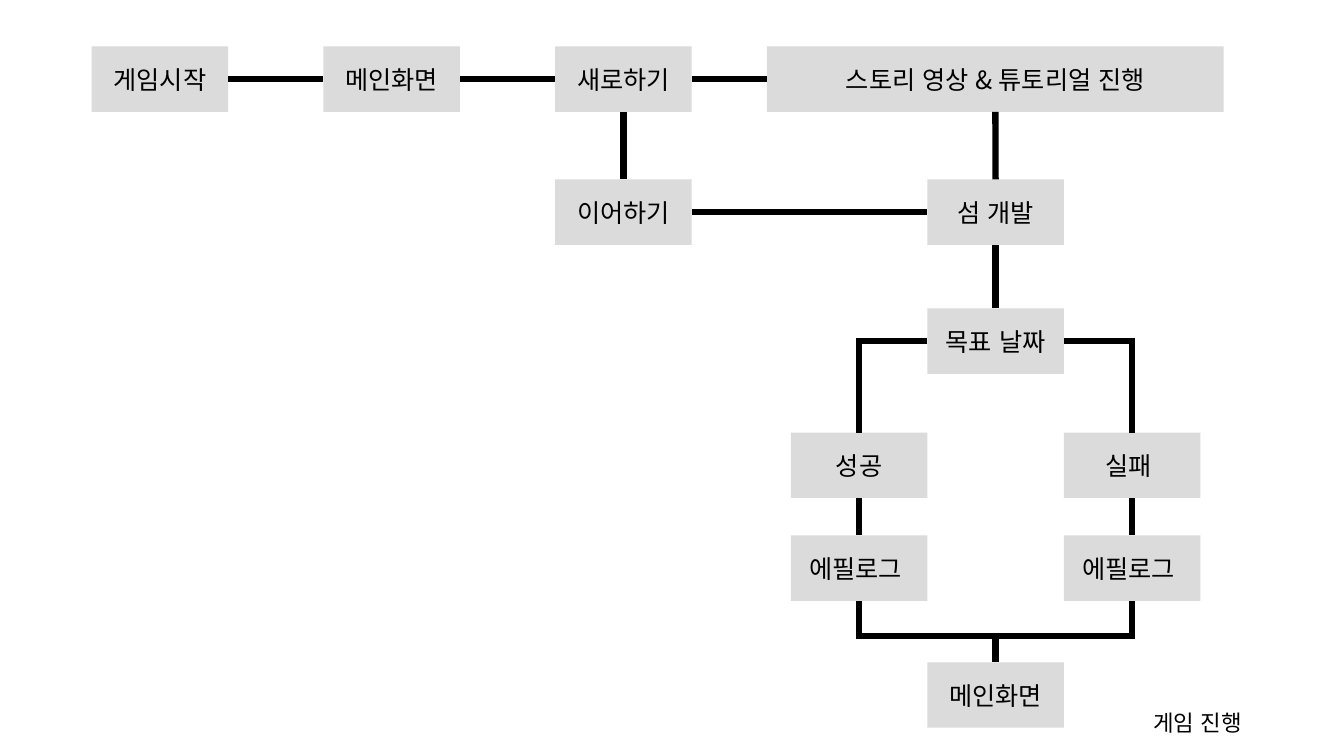
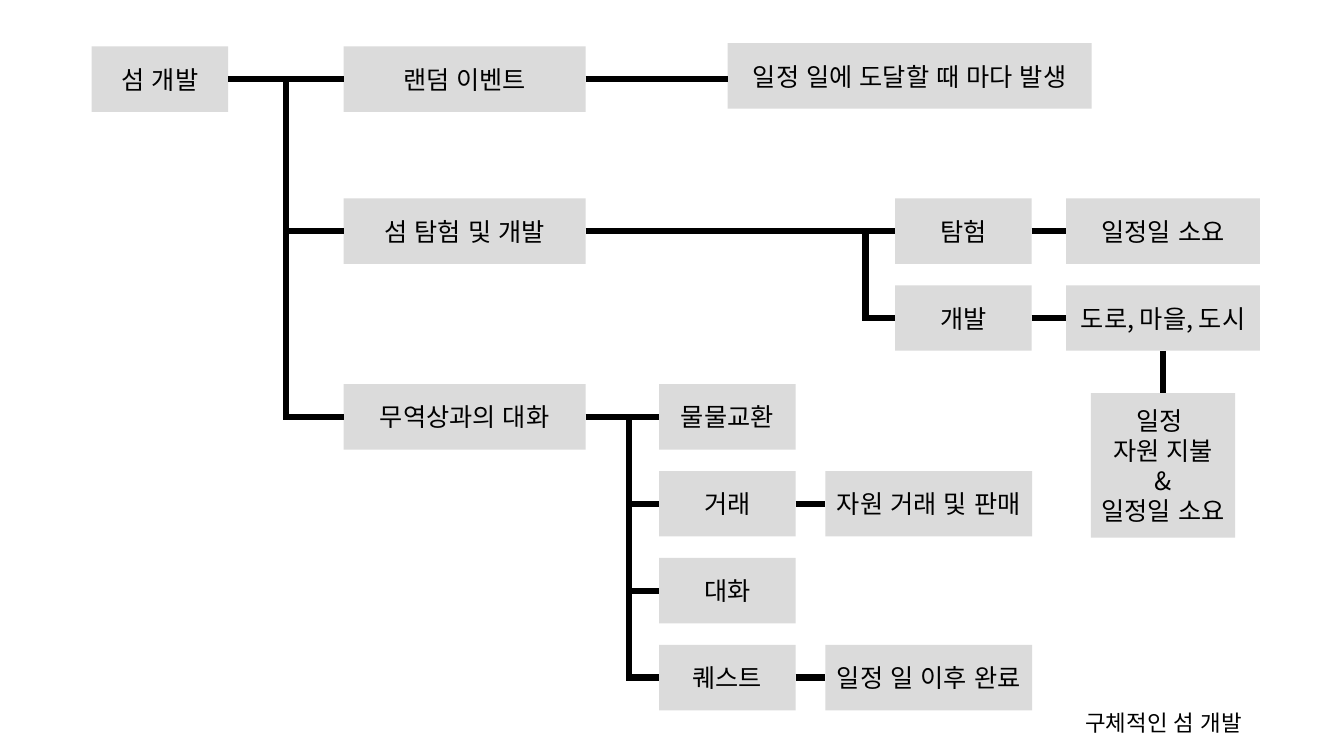
from dataclasses import dataclass

from lxml.etree import SubElement
from pptx import Presentation
from pptx.dml.color import RGBColor
from pptx.enum.lang import MSO_LANGUAGE_ID as Language
from pptx.enum.shapes import MSO_CONNECTOR as Connector, MSO_SHAPE as Preset
from pptx.enum.text import MSO_ANCHOR as Anchor, MSO_AUTO_SIZE as AutoSize, PP_ALIGN as Align
from pptx.oxml.ns import qn
from pptx.util import Cm, Pt

TOP, LEFT, BOTTOM, RIGHT = range(4)


@dataclass(frozen=True)
class Theme:
    font: str = "Noto Sans CJK KR"
    ink: RGBColor = RGBColor(0, 0, 0)
    paper: RGBColor = RGBColor(255, 255, 255)
    node: RGBColor = RGBColor(0xDB, 0xDB, 0xDB)
    node_size: Pt = Pt(18)
    title_size: Pt = Pt(16)
    line_width: Pt = Pt(4.5)


@dataclass(frozen=True)
class Box:
    left: float
    top: float
    width: float
    height: float

    def lengths(self):
        return [Cm(value) for value in (self.left, self.top, self.width, self.height)]


THEME = Theme()
NODE_WIDTH, NODE_HEIGHT = 3.44, 1.65
DIAGRAM = Box(2.31, 1.17, 29.7, 16.8)
TITLE = Box(13.87, 17.4, 17.68, 1.19)


def add_text(paragraph, text, size):
    run = paragraph.add_run()
    run.text = text
    font = run.font
    font.name, font.size, font.bold = THEME.font, size, False
    font.color.rgb = THEME.ink
    font.language_id = Language.KOREAN
    SubElement(run._r.get_or_add_rPr(), qn("a:ea")).set("typeface", THEME.font)


def add_node(slide, area, left, top, text, width=NODE_WIDTH, height=NODE_HEIGHT):
    box = Box(area.left + left, area.top + top, width, height)
    shape = slide.shapes.add_shape(Preset.RECTANGLE, *box.lengths())
    shape.shadow.inherit = False
    shape.fill.solid()
    shape.fill.fore_color.rgb = THEME.node
    shape.line.fill.background()
    frame = shape.text_frame
    frame.word_wrap = True
    frame.vertical_anchor = Anchor.MIDDLE
    for index, line in enumerate(text.split("\n")):
        paragraph = frame.add_paragraph() if index else frame.paragraphs[0]
        paragraph.alignment = Align.CENTER
        add_text(paragraph, line, THEME.node_size)
    return shape


def add_line(slide, x1, y1, x2, y2):
    line = slide.shapes.add_connector(Connector.STRAIGHT, x1, y1, x2, y2)
    line.line.color.rgb = THEME.ink
    line.line.width = THEME.line_width
    SubElement(line._element.spPr, qn("a:effectLst"))
    return line


def link(slide, first, second, sides=(RIGHT, LEFT)):
    line = add_line(slide, 0, 0, 0, 0)
    line.begin_connect(first, sides[0])
    line.end_connect(second, sides[1])


def right(shape):
    return shape.left + shape.width


def bottom(shape):
    return shape.top + shape.height


def center(shape):
    return shape.left + shape.width // 2


def middle(shape):
    return shape.top + shape.height // 2


def branch(slide, parent, children, trunk):
    first, *others = children
    link(slide, parent, first)
    for child in others:
        add_line(slide, trunk, middle(child), child.left, middle(child))
    end = middle(others[-1]) + THEME.line_width // 2
    add_line(slide, trunk, middle(parent), trunk, end)


def add_title(slide, box, text):
    title = slide.shapes.title
    title.left, title.top, title.width, title.height = box.lengths()
    frame = title.text_frame
    frame.word_wrap = True
    frame.auto_size = AutoSize.NONE
    frame.vertical_anchor = Anchor.TOP
    paragraph = frame.paragraphs[0]
    paragraph.alignment = Align.RIGHT
    paragraph.line_spacing = 1.5
    add_text(paragraph, text, THEME.title_size)


def draw_game_flow(slide, area):
    start, menu, new_game = [
        add_node(slide, area, column * 5.84, 0, text)
        for column, text in enumerate(["게임시작", "메인화면", "새로하기"])
    ]
    story = add_node(slide, area, 17.02, 0, "스토리 영상 & 튜토리얼 진행", width=11.51)
    resume = add_node(slide, area, 11.68, 3.35, "이어하기")
    axis = 21.06
    island, goal, ending = [
        add_node(slide, area, axis, top, text)
        for top, text in [(3.35, "섬 개발"), (6.6, "목표 날짜"), (15.52, "메인화면")]
    ]
    for first, second in [(start, menu), (menu, new_game), (new_game, story), (resume, island)]:
        link(slide, first, second)
    for first, second in [(new_game, resume), (story, island), (island, goal)]:
        link(slide, first, second, (BOTTOM, TOP))

    overlap = THEME.line_width // 2
    join = Cm(area.top + 14.86)
    for direction, text in [(-1, "성공"), (1, "실패 ")]:
        left = axis + direction * NODE_WIDTH
        result = add_node(slide, area, left, 9.73, text)
        epilogue = add_node(slide, area, left, 12.32, "에필로그 ")
        link(slide, result, epilogue, (BOTTOM, TOP))
        column = center(result)
        corner = column + direction * overlap
        edge = goal.left if direction < 0 else right(goal)
        add_line(slide, edge, middle(goal), corner, middle(goal))
        add_line(slide, column, middle(goal), column, result.top)
        add_line(slide, column, bottom(epilogue), column, join)
        add_line(slide, corner, join, center(ending), join)
    add_line(slide, center(ending), join - overlap, center(ending), ending.top)


def draw_island_tree(slide, area):
    root = add_node(slide, area, 0, 0, "섬 개발")
    rows = [0, 3.83, 8.51]
    topics = [
        add_node(slide, area, 6.35, top, text, width=6.1)
        for top, text in zip(rows, ["랜덤 이벤트", "섬 탐험 및 개발", "무역상과의 대화"])
    ]
    event, island, trade = topics
    branch(slide, root, topics, Cm(area.left + 4.89))

    timing = add_node(slide, area, 16.03, -0.08, "일정 일에 도달할 때 마다 발생", width=9.17)
    add_line(slide, right(event), middle(event), timing.left, middle(event))

    pitch = 2.19
    works = []
    for row, (text, result) in enumerate([("탐험", "일정일 소요"), ("개발", "도로, 마을, 도시")]):
        top = rows[1] + row * pitch
        works.append(add_node(slide, area, 20.25, top, text))
        outcome = add_node(slide, area, 24.56, top, result, width=4.88)
        link(slide, works[-1], outcome)
    branch(slide, island, works, Cm(area.left + 19.5))
    cost = add_node(slide, area, 25.18, 8.74, "일정 \n자원 지불\n&\n일정일 소요", width=3.64, height=3.64)
    link(slide, outcome, cost, (BOTTOM, TOP))

    options = []
    details = {"물물교환": None, "거래": "자원 거래 및 판매", "대화": None, "퀘스트": "일정 일 이후 완료"}
    for row, (text, detail) in enumerate(details.items()):
        top = rows[2] + row * pitch
        options.append(add_node(slide, area, 14.3, top, text))
        if detail:
            link(slide, options[-1], add_node(slide, area, 18.49, top, detail, width=5.21))
    branch(slide, trade, options, Cm(area.left + 13.54))


def build():
    presentation = Presentation()
    presentation.slide_width, presentation.slide_height = Cm(33.87), Cm(19.05)
    for title, draw in [("게임 진행", draw_game_flow), ("구체적인 섬 개발", draw_island_tree)]:
        slide = presentation.slides.add_slide(presentation.slide_layouts[5])
        slide.background.fill.solid()
        slide.background.fill.fore_color.rgb = THEME.paper
        draw(slide, DIAGRAM)
        add_title(slide, TITLE, title)
    presentation.save("out.pptx")


build()
